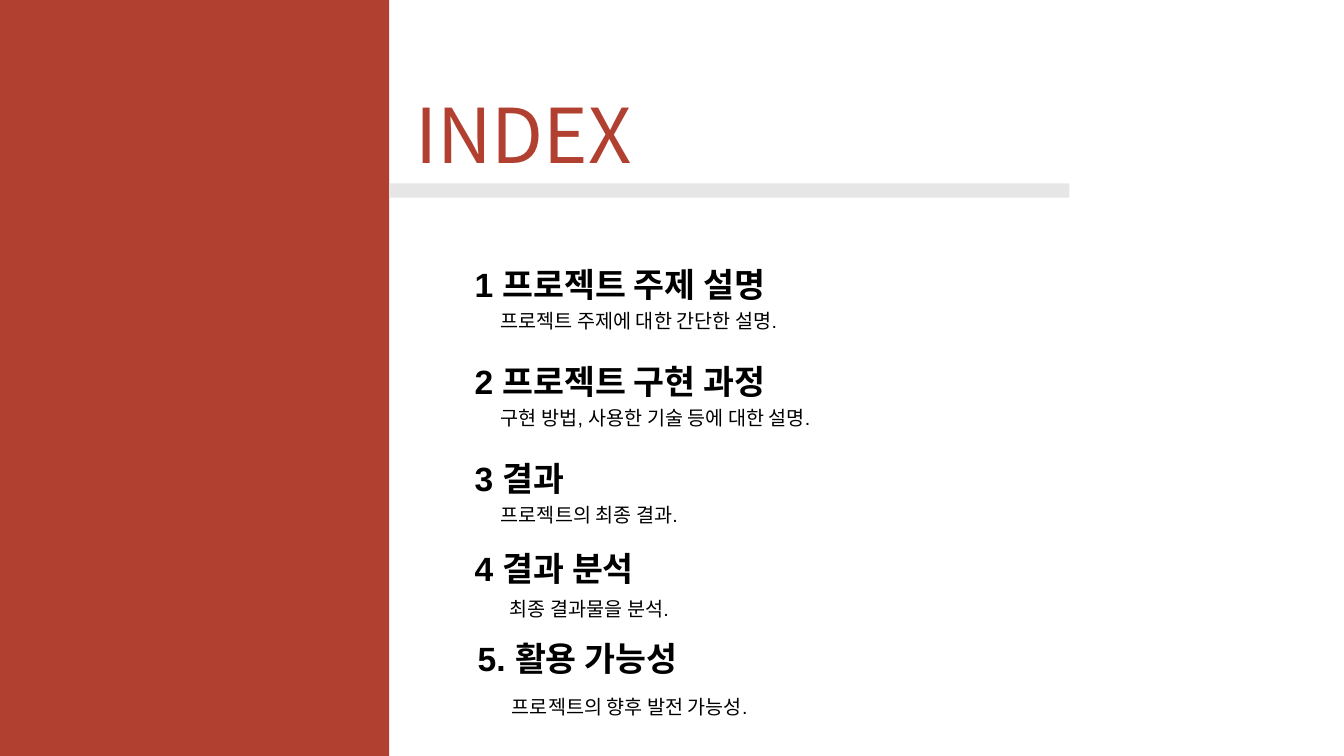
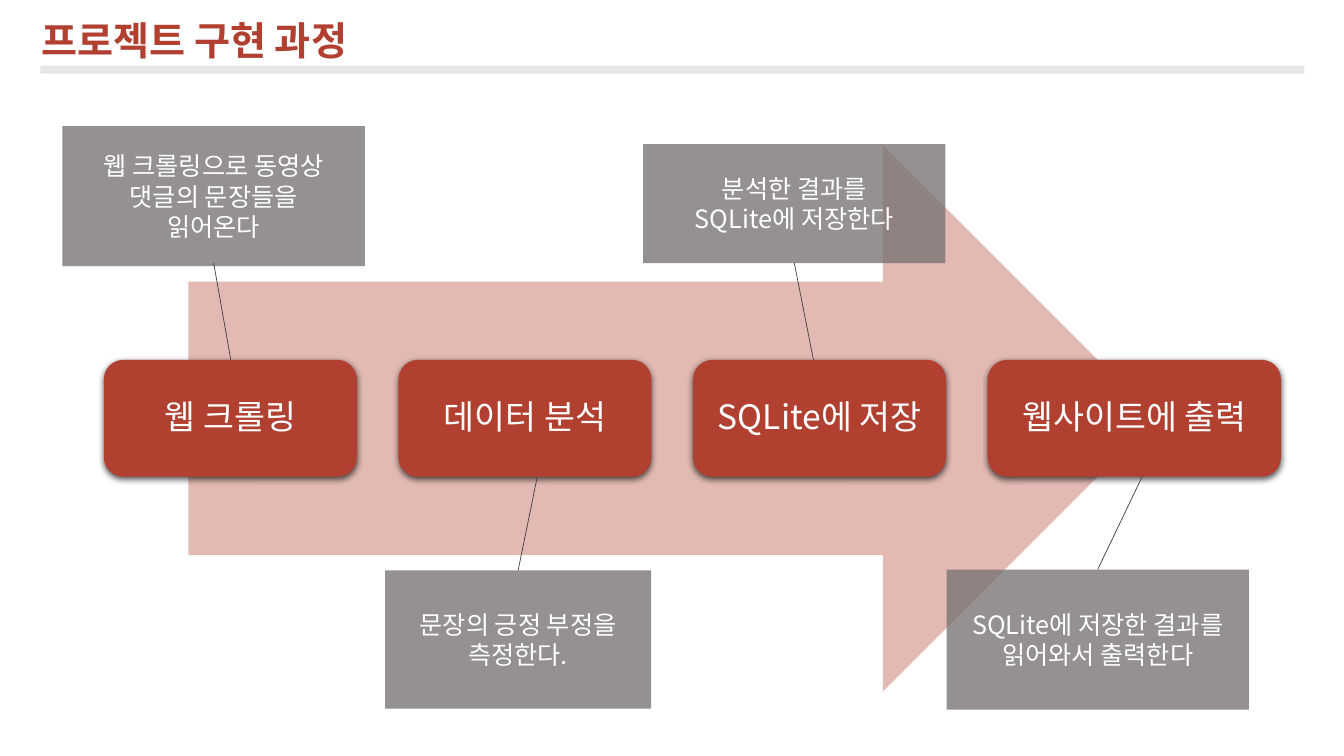
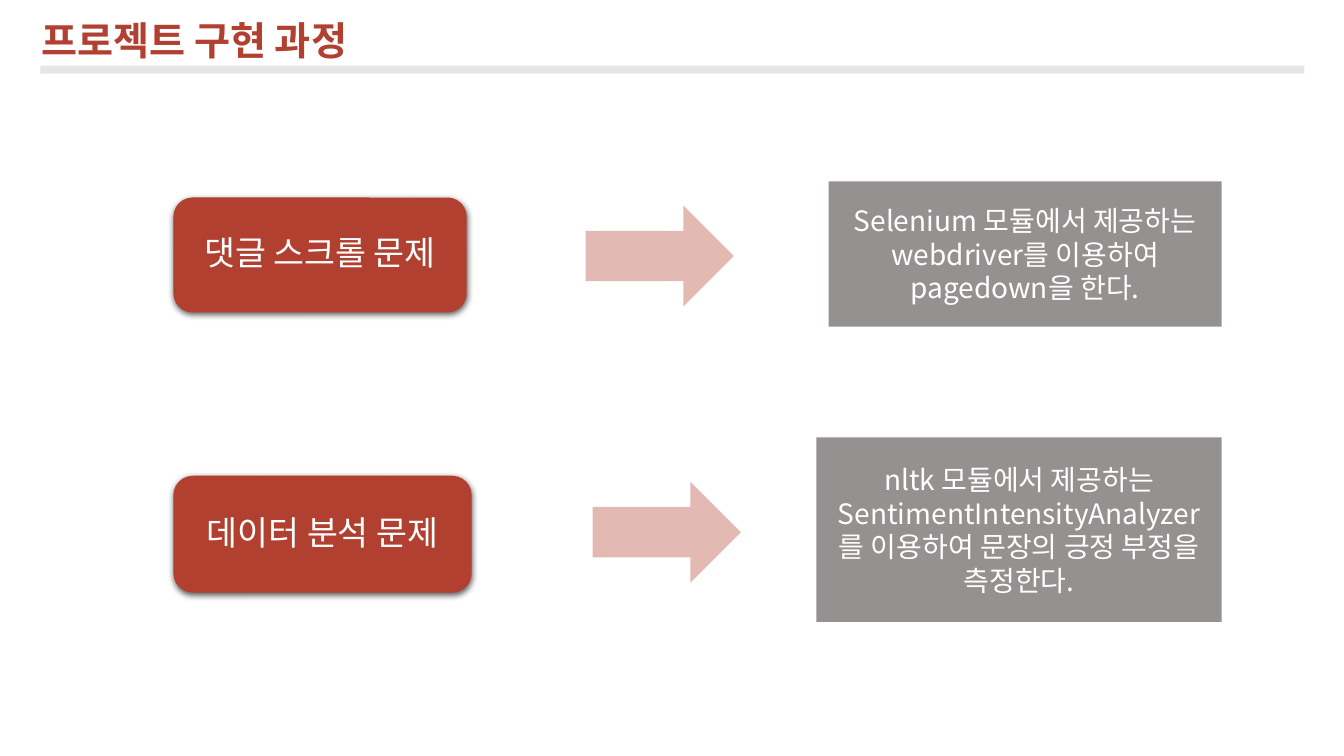
"""Build a three-slide project deck: index, process flow, problems solved."""
from typing import Any, NamedTuple

from pptx import Presentation
from pptx import util as u
from pptx.dml.color import RGBColor
from pptx.enum import shapes, text
from pptx.oxml.ns import qn
from lxml import etree

CELL = 0.1  # inches per grid column and row
COLUMNS, ROWS = 133.33, 75
RED, PINK, GREY, SILVER = "B14030", "E2B9B3", "767171", "E7E6E6"
WHITE, BLACK, LINE = "FFFFFF", "000000", "404040"
SANS, LATIN = "Noto Sans CJK KR", "Arial"
KIND = shapes.MSO_SHAPE
ALIGN = text.PP_ALIGN


class Area(NamedTuple):
    """A rectangle in grid columns and rows."""
    left: float
    top: float
    width: float
    height: float


class Entry(NamedTuple):
    """An index heading with its detail line; widths are in columns."""
    heading: str
    detail: str
    left: float
    top: float
    width: float
    indent: float
    drop: float
    detail_width: float


class Step(NamedTuple):
    """A process step, its note, and the columns its leader line joins."""
    label: str
    width: float
    note: str
    note_area: Area
    label_end: float
    note_end: float


class Problem(NamedTuple):
    """A problem, an arrow and the solution to the problem."""
    label: str
    label_area: Area
    arrow_area: Area
    solution: str
    solution_area: Area


HEADING = {"size": u.Pt(24), "name": LATIN, "bold": True}
DETAIL = {"size": u.Pt(14), "name": LATIN}
TITLE = {"size": u.Pt(28), "name": LATIN, "bold": True}
INDEX = {"size": u.Pt(54), "name": SANS}
LABEL = {"size": u.Pt(24), "name": SANS}
NOTE = {"size": u.Pt(18), "name": SANS}
SOLUTION = {"size": u.Pt(20), "name": SANS}

ENTRIES = [
    Entry("1 프로젝트 주제 설명", "프로젝트 주제에 대한 간단한 설명.", 46.1, 25.7, 34.4, 2.6, 4.5, 32.7),
    Entry("2 프로젝트 구현 과정", "구현 방법, 사용한 기술 등에 대한 설명.", 46.1, 35.3, 34.4, 2.6, 4.5, 36.4),
    Entry("3 결과", "프로젝트의 최종 결과.", 46.1, 44.9, 11.8, 2.6, 4.5, 21.5),
    Entry("4 결과 분석", "최종 결과물을 분석.", 46.1, 53.9, 19.7, 3.5, 4.8, 19.5),
    Entry("5. 활용 가능성", "프로젝트의 향후 발전 가능성. ", 46.4, 62.8, 23.8, 3.4, 5.6, 28.8),
]
STEPS = [
    Step("웹 크롤링", 25.1, "웹 크롤링으로 동영상\n댓글의 문장들을\n읽어온다",
         Area(6.2, 12.5, 30, 13.9), 22.9, 21.2),
    Step("데이터 분석", 25.1, "문장의 긍정 부정을 측정한다.",
         Area(38.2, 56.6, 26.4, 13.7), 53.3, 51.4),
    Step("SQLite에 저장", 25.1, "분석한 결과를\nSQLite에 저장한다",
         Area(63.8, 14.3, 30, 11.8), 80.7, 78.8),
    Step("웹사이트에 출력", 29.1, "SQLite에 저장한 결과를\n읽어와서 출력한다",
         Area(93.9, 56.5, 30, 13.9), 113.3, 108.9),
]
STEP_LEFT, STEP_PITCH, STEP_TOP, STEP_HEIGHT = 10.3, 29.23, 35.7, 11.6
UPPER_LEADER = 26.1
PROBLEMS = [
    Problem("댓글 스크롤 문제", Area(17.2, 19.6, 29.1, 11.4), Area(58.1, 20.4, 14.7, 10),
            "Selenium 모듈에서 제공하는 webdriver를 이용하여 pagedown을 한다.",
            Area(82.2, 18, 39, 14.4)),
    Problem("데이터 분석 문제", Area(17.2, 47.2, 29.6, 11.6), Area(58.8, 47.8, 14.7, 10),
            "nltk 모듈에서 제공하는 SentimentIntensityAnalyzer 를 이용하여 문장의 긍정 부정을 측정한다.",
            Area(81, 43.4, 40.2, 18.3)),
]


def cells(*counts: float) -> list[int]:
    """Turn grid counts into lengths."""
    return [u.Inches(count * CELL) for count in counts]


def colour(code: str) -> RGBColor:
    """Turn a hex string into a colour."""
    return RGBColor.from_string(code)


def add_child(parent: Any, tag: str, **values: Any) -> Any:
    """Append a drawing element with the given attributes."""
    names = {name: str(value) for name, value in values.items()}
    return etree.SubElement(parent, qn(f"a:{tag}"), names)


def write(frame: Any, words: str, style: dict, code: str, align: Any,
          line_spacing: float = 1.0) -> None:
    """Write one paragraph for each line of words."""
    for number, line in enumerate(words.split("\n")):
        para = frame.add_paragraph() if number else frame.paragraphs[0]
        para.alignment = align
        para.line_spacing = line_spacing
        span = para.add_run()
        span.text = line
        for name, value in style.items():
            setattr(span.font, name, value)
        span.font.color.rgb = colour(code)
        add_child(span.font._element, "ea", typeface=SANS)


def add_text(page: Any, area: Area, words: str, style: dict, code: str = BLACK) -> None:
    """Add a one-line text box that fits its text."""
    frame = page.shapes.add_textbox(*cells(*area)).text_frame
    frame.word_wrap = False
    frame.auto_size = text.MSO_AUTO_SIZE.SHAPE_TO_FIT_TEXT
    write(frame, words, style, code, ALIGN.LEFT)


def add_block(page: Any, area: Area, code: str, kind: Any = KIND.RECTANGLE) -> Any:
    """Add a flat shape without an outline."""
    box = page.shapes.add_shape(kind, *cells(*area))
    box.shadow.inherit = False
    box.fill.solid()
    box.fill.fore_color.rgb = colour(code)
    box.line.fill.background()
    box.text_frame.word_wrap = True
    box.text_frame.vertical_anchor = text.MSO_ANCHOR.MIDDLE
    return box


def add_label(page: Any, area: Area, words: str) -> None:
    """Add a rounded red label with a soft shadow."""
    box = add_block(page, area, RED, KIND.ROUNDED_RECTANGLE)
    effects = box.element.spPr.find(qn("a:effectLst"))
    shadow = add_child(effects, "outerShdw", blurRad=u.Pt(4.5), dist=u.Pt(1.5),
                       dir=5400000, algn="ctr", rotWithShape=0)
    add_child(add_child(shadow, "srgbClr", val=BLACK), "alpha", val=63000)
    write(box.text_frame, words, LABEL, WHITE, ALIGN.CENTER, 0.9)


def add_note(page: Any, area: Area, words: str, style: dict) -> None:
    """Add a translucent grey note."""
    box = add_block(page, area, GREY)
    add_child(box.element.spPr.find(qn("a:solidFill"))[0], "alpha", val=77000)
    write(box.text_frame, words, style, WHITE, ALIGN.CENTER)


def add_leader(page: Any, *ends: float) -> None:
    """Add a thin line between two grid points."""
    leader = page.shapes.add_connector(shapes.MSO_CONNECTOR.STRAIGHT, *cells(*ends))
    leader.line.color.rgb = colour(LINE)
    leader.line.width = u.Pt(0.5)
    add_child(leader.element.spPr, "effectLst")


def add_page(deck: Any) -> Any:
    """Add a blank slide."""
    return deck.slides.add_slide(deck.slide_layouts[6])


def add_titled_page(deck: Any, title: str) -> Any:
    """Add a slide with the title and the band under it."""
    page = add_page(deck)
    add_block(page, Area(4, 6.5, 125.4, 0.8), SILVER)
    add_text(page, Area(3.1, 1.1, 36.2, 5.7), title, TITLE, RED)
    return page


def build_index(deck: Any) -> None:
    """Build the index slide."""
    page = add_page(deck)
    add_block(page, Area(0, 0, 38.6, ROWS), RED)
    add_block(page, Area(38.6, 18.2, 67.5, 1.4), SILVER)
    add_text(page, Area(40.2, 8.2, 23.8, 10.1), "INDEX", INDEX, RED)
    for entry in ENTRIES:
        add_text(page, Area(entry.left, entry.top, entry.width, 5), entry.heading, HEADING)
        add_text(page, Area(entry.left + entry.indent, entry.top + entry.drop,
                            entry.detail_width, 3.4), entry.detail, DETAIL)


def build_process(deck: Any) -> None:
    """Build the flow of steps over a large arrow."""
    page = add_titled_page(deck, "프로젝트 구현 과정")
    add_block(page, Area(18.7, 14.4, 96, 54.2), PINK, KIND.RIGHT_ARROW)
    for number, step in enumerate(STEPS):
        left = STEP_LEFT + number * STEP_PITCH
        add_label(page, Area(left, STEP_TOP, step.width, STEP_HEIGHT), step.label)
        add_note(page, step.note_area, step.note, NOTE)
        if step.note_area.top < STEP_TOP:
            label_row, note_row = STEP_TOP, UPPER_LEADER
        else:
            label_row, note_row = STEP_TOP + STEP_HEIGHT, step.note_area.top
        add_leader(page, step.label_end, label_row, step.note_end, note_row)


def build_problems(deck: Any) -> None:
    """Build the slide of problems and solutions."""
    page = add_titled_page(deck, "프로젝트 구현 과정")
    for problem in PROBLEMS:
        add_label(page, problem.label_area, problem.label)
        add_block(page, problem.arrow_area, PINK, KIND.RIGHT_ARROW)
        add_note(page, problem.solution_area, problem.solution, SOLUTION)


def main() -> None:
    """Build and save the deck."""
    deck = Presentation()
    deck.slide_width, deck.slide_height = cells(COLUMNS, ROWS)
    for build in (build_index, build_process, build_problems):
        build(deck)
    deck.save("out.pptx")


main()
